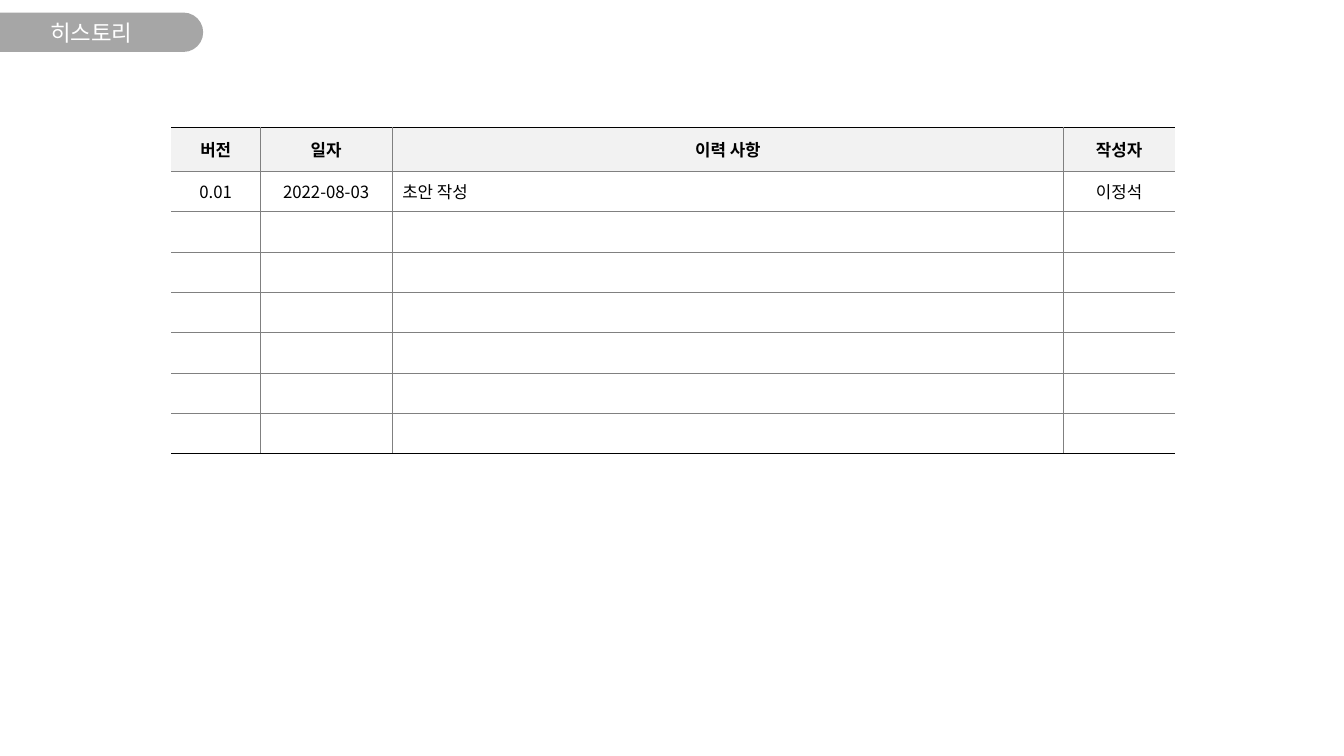
from lxml.etree import SubElement
from pptx import Presentation
from pptx.dml.color import RGBColor
from pptx.enum.shapes import MSO_SHAPE as Shape
from pptx.enum.text import MSO_ANCHOR as Anchor, PP_ALIGN as Align
from pptx.oxml.ns import qn
from pptx.util import Inches, Pt

FONT = "Noto Sans CJK KR"
BLACK = RGBColor(0x00, 0x00, 0x00)
WHITE = RGBColor(0xFF, 0xFF, 0xFF)
TAB_GRAY = RGBColor(0xA6, 0xA6, 0xA6)
GRID_GRAY = RGBColor(0x80, 0x80, 0x80)
HEADER_GRAY = RGBColor(0xF2, 0xF2, 0xF2)

COLUMN_WIDTHS = [0.88, 1.31, 6.66, 1.1]
ROW_HEIGHTS = [0.44] + [0.4] * 7
HISTORY = [
    ["버전", "일자", "이력 사항", "작성자"],
    ["0.01", "2022-08-03", "초안 작성", "이정석"],
]
DETAIL_COLUMN = 2


def style_paragraph(paragraph, size, color, align, bold=False):
    """Align a paragraph and format its runs."""
    paragraph.alignment = align
    for run in paragraph.runs:
        font = run.font
        font.name, font.size, font.bold = FONT, Pt(size), bold
        font.color.rgb = color
        SubElement(font._element, qn("a:ea"), typeface=FONT)
    if not paragraph.runs:
        SubElement(paragraph._p, qn("a:endParaRPr"), sz=str(size * 100))


def add_title_tab(slide):
    """Draw the tab at the left edge with its rounded right end."""
    tab = slide.shapes.add_shape(
        Shape.ROUND_2_SAME_RECTANGLE, Inches(0.81), Inches(-0.69), Inches(0.39), Inches(2.02))
    tab.rotation = 270
    tab.adjustments[0], tab.adjustments[1] = 0, 0.5
    tab.shadow.inherit = False
    tab.fill.solid()
    tab.fill.fore_color.rgb = TAB_GRAY
    tab.line.fill.background()


def add_title(slide, text):
    """Add the slide title on top of the tab."""
    box = slide.shapes.add_textbox(Inches(-0.01), Inches(0.13), Inches(1.83), Inches(0.39))
    frame = box.text_frame
    frame.word_wrap = True
    frame.vertical_anchor = Anchor.MIDDLE
    frame.text = text
    style_paragraph(frame.paragraphs[0], 16, WHITE, Align.CENTER)


def add_border(cell, side, color, width):
    """Add one cell border, or an empty one when the colour is None."""
    properties = cell._tc.get_or_add_tcPr()
    line = SubElement(properties, qn(f"a:ln{side}"), w=str(Pt(width)))
    if color is None:
        SubElement(line, qn("a:noFill"))
    else:
        fill = SubElement(line, qn("a:solidFill"))
        SubElement(fill, qn("a:srgbClr"), val=str(color))


def style_cell(cell, row, column):
    """Set the borders, fill and text format of one table cell."""
    last_row, last_column = len(ROW_HEIGHTS) - 1, len(COLUMN_WIDTHS) - 1
    grid, edge, none = (GRID_GRAY, 0.5), (BLACK, 0.75), (None, 0)
    add_border(cell, "L", *(none if column == 0 else grid))
    add_border(cell, "R", *(none if column == last_column else grid))
    add_border(cell, "T", *(edge if row == 0 else grid))
    add_border(cell, "B", *(edge if row == last_row else grid))
    if row == 0:
        cell.fill.solid()
        cell.fill.fore_color.rgb = HEADER_GRAY
    else:
        cell.fill.background()
    cell.vertical_anchor = Anchor.MIDDLE
    align = Align.LEFT if row and column == DETAIL_COLUMN else Align.CENTER
    style_paragraph(cell.text_frame.paragraphs[0], 12, BLACK, align, bold=row == 0)


def add_history_table(slide):
    """Add the revision history table."""
    frame = slide.shapes.add_table(
        len(ROW_HEIGHTS), len(COLUMN_WIDTHS), Inches(1.7), Inches(1.26),
        Inches(sum(COLUMN_WIDTHS)), Inches(sum(ROW_HEIGHTS)))
    table = frame.table
    table.first_row = table.horz_banding = False
    for column, width in enumerate(COLUMN_WIDTHS):
        table.columns[column].width = Inches(width)
    for row, height in enumerate(ROW_HEIGHTS):
        table.rows[row].height = Inches(height)
        for column in range(len(COLUMN_WIDTHS)):
            cell = table.cell(row, column)
            if row < len(HISTORY):
                cell.text_frame.text = HISTORY[row][column]
            style_cell(cell, row, column)


def main():
    """Build the revision history slide."""
    presentation = Presentation()
    presentation.slide_width = Inches(13.33)
    presentation.slide_height = Inches(7.5)
    slide = presentation.slides.add_slide(presentation.slide_layouts[6])
    add_title_tab(slide)
    add_title(slide, "히스토리")
    add_history_table(slide)
    presentation.save("out.pptx")


if __name__ == "__main__":
    main()
